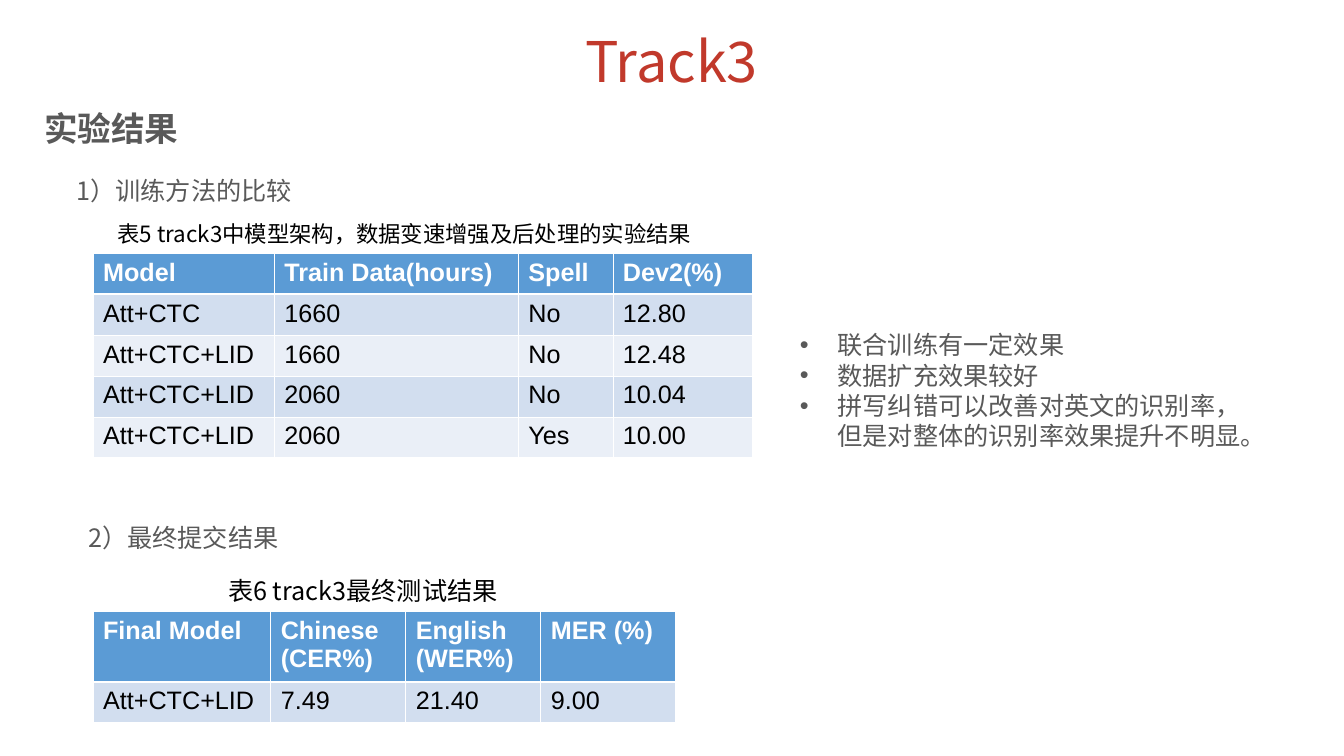
from lxml.etree import SubElement as Sub
from pptx import Presentation
from pptx.dml.color import RGBColor as Rgb
from pptx.enum.text import MSO_ANCHOR as Anchor, PP_ALIGN as Align
from pptx.oxml.ns import qn
from pptx.util import Pt

HUES = {
    "head": "5B9BD5", "odd": "D2DEEF", "even": "EAEFF7", "white": "FFFFFF",
    "black": "000000", "gray": "595959", "red": "C1392B",
}
SANS = "Noto Sans CJK JP"

SCORES = [
    ["Model", "Train Data(hours)", "Spell", "Dev2(%)"],
    ["Att+CTC", "1660", "No", "12.80"],
    ["Att+CTC+LID", "1660", "No", "12.48"],
    ["Att+CTC+LID", "2060", "No", "10.04"],
    ["Att+CTC+LID", "2060", "Yes", "10.00"],
]
FINALS = [
    ["Final Model", "Chinese\n(CER%)", "English\n(WER%)", "MER (%)"],
    ["Att+CTC+LID", "7.49", "21.40", "9.00"],
]
NOTES = [
    "联合训练有一定效果",
    "数据扩充效果较好",
    "拼写纠错可以改善对英文的识别率，但是对整体的识别率效果提升不明显。",
]


def style(frame, size, hue, face=SANS, bold=False):
    for para in frame.paragraphs:
        for run in para.runs:
            font = run.font
            font.size = Pt(size)
            font.bold = bold
            font.color.rgb = Rgb.from_string(HUES[hue])
            font.name = face
            Sub(run._r.get_or_add_rPr(), qn("a:ea"), typeface=face)


def add_text(slide, area, text, size, hue, bold=False, wrap=False):
    frame = slide.shapes.add_textbox(*map(Pt, area)).text_frame
    frame.word_wrap = wrap
    frame.text = text
    style(frame, size, hue, bold=bold)
    return frame


def add_title(slide, area, text):
    frame = add_text(slide, area, text, 40, "red", wrap=True)
    frame.vertical_anchor = Anchor.MIDDLE
    para = frame.paragraphs[0]
    para.alignment = Align.CENTER
    para.line_spacing = 0.9


def add_list(slide, area, items):
    frame = add_text(slide, area, "\n".join(items), 18, "gray", wrap=True)
    for para in frame.paragraphs:
        props = para._p.get_or_add_pPr()
        props.set("marL", str(Pt(27)))
        props.set("indent", str(-Pt(27)))
        tint = Sub(props, qn("a:buClr"))
        Sub(tint, qn("a:srgbClr"), val=HUES["gray"])
        Sub(props, qn("a:buFont"), typeface="Arial")
        Sub(props, qn("a:buChar"), char="•")


def add_edges(cell, row):
    props = cell._tc.get_or_add_tcPr()
    thick = {"lnB": 0, "lnT": 1}
    for side in ("lnL", "lnR", "lnT", "lnB"):
        width = 1.5 if thick.get(side) == row else 0.5
        line = Sub(props, qn(f"a:{side}"), w=str(Pt(width)))
        fill = Sub(line, qn("a:solidFill"))
        Sub(fill, qn("a:srgbClr"), val=HUES["white"])


def add_grid(slide, left, top, wide, high, data):
    area = map(Pt, (left, top, sum(wide), sum(high)))
    grid = slide.shapes.add_table(len(data), len(wide), *area).table
    for col, width in zip(grid.columns, wide):
        col.width = Pt(width)
    for row, (height, texts) in enumerate(zip(high, data)):
        grid.rows[row].height = Pt(height)
        head = row == 0
        band = "head" if head else "odd" if row % 2 else "even"
        for col, text in enumerate(texts):
            cell = grid.cell(row, col)
            cell.text = text
            style(cell.text_frame, 18, "white" if head else "black", "Arial", head)
            add_edges(cell, row)
            cell.fill.solid()
            cell.fill.fore_color.rgb = Rgb.from_string(HUES[band])


def main():
    deck = Presentation()
    deck.slide_width, deck.slide_height = Pt(960.5), Pt(540)
    slide = deck.slides.add_slide(deck.slide_layouts[6])

    add_title(slide, (134, 21, 692, 50), "Track3")
    add_text(slide, (24.5, 73.5, 720, 36), "实验结果", 24, "gray", bold=True, wrap=True)

    add_text(slide, (47.5, 121.7, 173.5, 29), "1）训练方法的比较", 18, "gray")
    add_text(slide, (77, 154, 450, 26.6), "表5 track3中模型架构，数据变速增强及后处理的实验结果", 16, "black")
    add_grid(slide, 66.5, 181, [129.5, 174.5, 67.5, 100], [29.2] * 5, SCORES)
    add_list(slide, (564.5, 232, 340.5, 94), NOTES)

    add_text(slide, (56, 369.5, 155.5, 29), "2）最终提交结果", 18, "gray")
    add_text(slide, (156, 407.5, 235.5, 29), "表6 track3最终测试结果", 18, "black")
    add_grid(slide, 66.5, 436.5, [127, 96.5, 96.5, 96.5], [50.4, 29.2], FINALS)

    deck.save("out.pptx")


if __name__ == "__main__":
    main()
